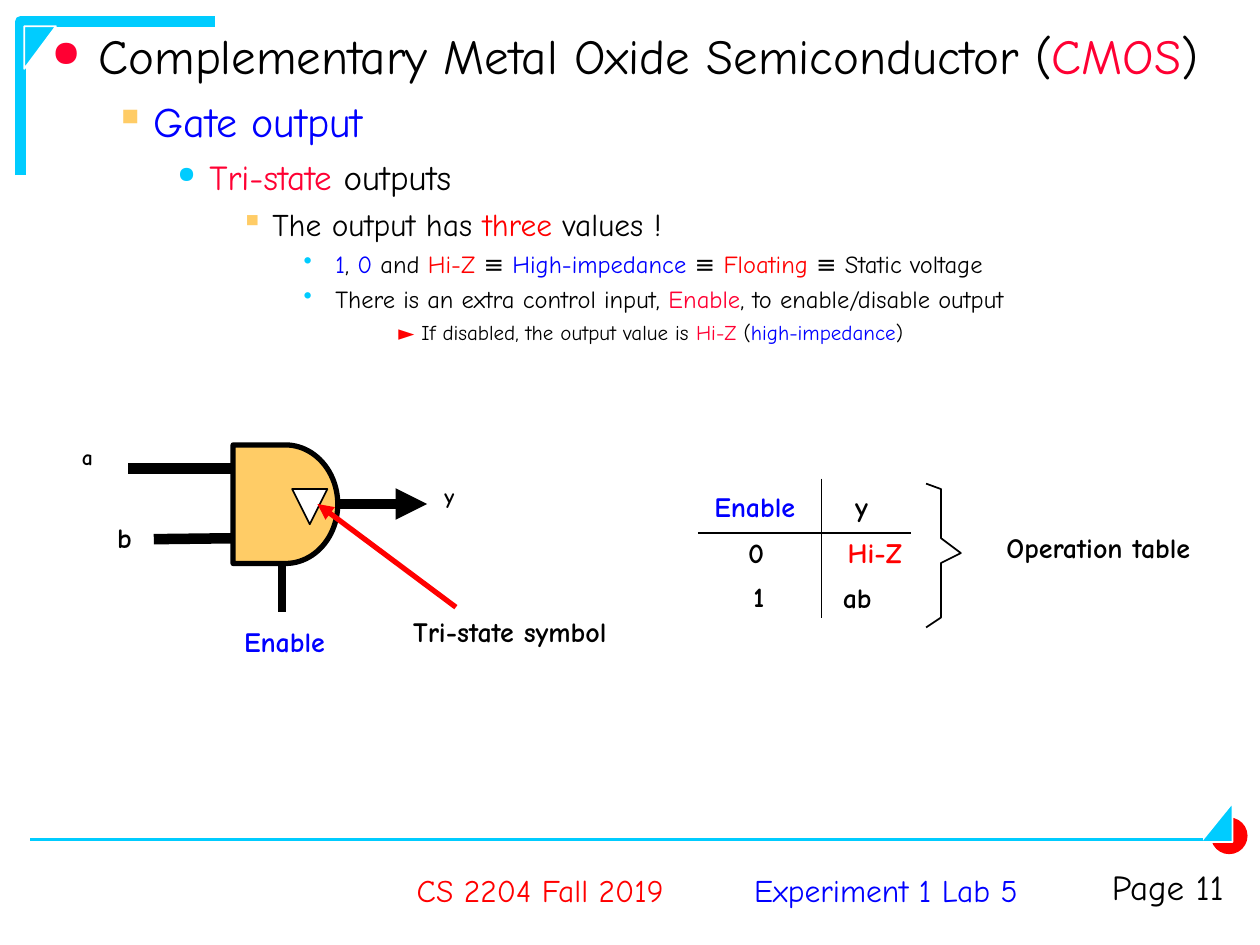
from dataclasses import dataclass

from lxml import etree
from pptx import Presentation
from pptx.dml.color import RGBColor
from pptx.enum.shapes import MSO_CONNECTOR, MSO_SHAPE
from pptx.enum.text import MSO_ANCHOR, PP_ALIGN
from pptx.oxml.ns import qn
from pptx.util import Cm, Pt

STRAIGHT = MSO_CONNECTOR.STRAIGHT
RIGHT_TRIANGLE = MSO_SHAPE.RIGHT_TRIANGLE
TRIANGLE = MSO_SHAPE.ISOSCELES_TRIANGLE
OVAL = MSO_SHAPE.OVAL
AND_GATE = MSO_SHAPE.FLOWCHART_DELAY
LEFT, CENTER, RIGHT = PP_ALIGN.LEFT, PP_ALIGN.CENTER, PP_ALIGN.RIGHT
TOP, MIDDLE = MSO_ANCHOR.TOP, MSO_ANCHOR.MIDDLE

FONT = "Comic Neue"
BLACK, WHITE, BLUE, RED = "000000", "FFFFFF", "0000FF", "FF0000"
CRIMSON, CYAN, AMBER = "FF0033", "00CCFF", "FFCC66"


@dataclass
class Label:
    text: str
    left: float
    top: float
    width: float
    height: float = 0.94
    size: float = 16
    color: str = BLACK
    bold: bool = True
    wrap: bool = False
    align: PP_ALIGN = LEFT
    anchor: MSO_ANCHOR = TOP
    spacing: float = 1.0


@dataclass
class Line:
    start: tuple[float, float]
    end: tuple[float, float]
    width: float
    color: str = BLACK
    arrow: bool = False


@dataclass
class Level:
    margin: float
    hanging: float
    size: float
    before: float
    bullet: str = ""
    bullet_color: str = BLACK
    bullet_percent: int = 100
    spacing: float = 1.0
    tabs: tuple[float, ...] = ()


TITLE = Level(0.95, 0.95, 28, 0, "●", CRIMSON, 75, spacing=0.9)
TOPIC = Level(2.06, 0.79, 24, 6, "▪", AMBER)
SUBTOPIC = Level(3.18, 0.64, 20, 5, "●", CYAN, 65)
POINT = Level(4.45, 0.64, 18, 4.5, "▪", AMBER)
DETAIL = Level(5.72, 0.64, 14, 3.5, "•", CYAN)
REMARK = Level(5.72, 0.64, 12, 3, tabs=(0, 7.62, 10.16))

OUTLINE = [
    (TITLE, [("Complementary Metal Oxide Semiconductor (", BLACK),
             ("CMOS", CRIMSON), (")", BLACK)]),
    (TOPIC, [("Gate output", BLUE)]),
    (SUBTOPIC, [("Tri-state", CRIMSON), (" outputs", BLACK)]),
    (POINT, [("The output has ", BLACK), ("three", RED), (" values !", BLACK)]),
    (DETAIL, [("1", BLUE), (", ", BLACK), ("0 ", BLUE), ("and", BLACK),
              (" Hi-Z ", RED), ("≡ ", BLACK), ("High-impedance", BLUE),
              (" ≡ ", BLACK), ("Floating ", RED), ("≡ Static voltage", BLACK)]),
    (DETAIL, [("There is an extra control input, ", BLACK), ("Enable", CRIMSON),
              (", to enable/disable output", BLACK)]),
    (REMARK, [("\t\t", BLACK), ("► ", RED),
              ("If disabled, the output value is ", BLACK), ("Hi-Z ", CRIMSON),
              ("(", BLACK), ("high-impedance", BLUE), (")", BLACK)]),
]

FOOTER = [
    Label("Experiment 1 Lab 5", 14.61, 17.12, 6.5, 1.63, 18, BLUE, False,
          align=CENTER, anchor=MIDDLE),
    Label("CS 2204 Fall 2019", 7.59, 17.12, 6.6, 1.63, 18, RED, False,
          align=CENTER, anchor=MIDDLE),
    Label("Page 11", 21.21, 17.32, 3.71, 1.42, 20, BLACK, False, True, RIGHT),
]

OPERATION_LABELS = [
    Label("Enable", 14.15, 9.75, 2.13, color=BLUE),
    Label("y", 16.99, 9.75, 0.76),
    Label("0", 14.83, 10.67, 0.81),
    Label("Hi-Z", 16.84, 10.67, 1.6, color=RED),
    Label("1", 14.94, 11.56, 0.71),
    Label("ab", 16.74, 11.58, 1.09),
    Label("Operation table", 20.04, 10.57, 4.24),
]
OPERATION_RULES = [
    Line((14.07, 10.74), (18.36, 10.74), 1),
    Line((16.56, 9.65), (16.56, 12.45), 1),
]
BRACE = [(18.67, 9.75), (18.97, 9.86), (18.97, 10.85), (19.37, 11.15),
         (18.97, 11.35), (18.97, 12.45), (18.67, 12.65)]

GATE_LABELS = [
    Label("Tri-state symbol", 8.08, 12.27, 4.42),
    Label("a", 1.4, 8.97, 1.02, 0.64, 12.4, wrap=True, spacing=0.7),
    Label("b", 2.11, 10.49, 1.27, 0.84, wrap=True, spacing=0.8),
    Label("y", 8.71, 9.75, 1.02, 0.64, 12.4, wrap=True, spacing=0.7),
    Label("Enable", 4.67, 12.47, 2.13, color=BLUE),
]
GATE_WIRES = [
    Line((3.1, 10.87), (4.7, 10.85), 6),
    Line((2.59, 9.45), (4.7, 9.45), 6),
    Line((6.81, 10.16), (8.61, 10.16), 6, arrow=True),
    Line((5.69, 11.35), (5.69, 12.34), 4.5),
]
SYMBOL_POINTER = Line((9.19, 12.24), (6.4, 10.16), 3, RED, True)


def rgb(color: str) -> RGBColor:
    return RGBColor.from_string(color)


def set_line(line, color: str, width: float) -> None:
    line.color.rgb = rgb(color)
    line.width = Pt(width)


def draw_shape(shapes, kind, box, fill, line=None, width=1.0, rotation=0, flips=()):
    shape = shapes.add_shape(kind, *map(Cm, box))
    shape.shadow.inherit = False
    shape.fill.solid()
    shape.fill.fore_color.rgb = rgb(fill)
    if line:
        set_line(shape.line, line, width)
    else:
        shape.line.fill.background()
    shape.rotation = rotation
    for flip in flips:
        shape._element.spPr.xfrm.set(flip, "1")


def draw_outline(shapes, points, color: str, width: float) -> None:
    corners = [(Cm(x), Cm(y)) for x, y in points]
    builder = shapes.build_freeform(*corners[0])
    builder.add_line_segments(corners[1:], close=False)
    outline = builder.convert_to_shape()
    outline.shadow.inherit = False
    outline.fill.background()
    set_line(outline.line, color, width)


def draw_line(shapes, line: Line) -> None:
    connector = shapes.add_connector(STRAIGHT, *map(Cm, line.start + line.end))
    set_line(connector.line, line.color, line.width)
    if line.arrow:
        etree.SubElement(connector.line._get_or_add_ln(), qn("a:tailEnd"), type="triangle")
    etree.SubElement(connector._element.spPr, qn("a:effectLst"))


def draw_label(shapes, label: Label) -> None:
    box = shapes.add_textbox(Cm(label.left), Cm(label.top), Cm(label.width), Cm(label.height))
    frame = box.text_frame
    frame.word_wrap = label.wrap
    frame.vertical_anchor = label.anchor
    paragraph = frame.paragraphs[0]
    paragraph.text = label.text
    paragraph.alignment = label.align
    paragraph.line_spacing = label.spacing
    font = paragraph.font
    font.name, font.size, font.bold = FONT, Pt(label.size), label.bold
    font.color.rgb = rgb(label.color)


def format_level(paragraph, level: Level) -> None:
    paragraph.line_spacing = level.spacing
    paragraph.space_before = Pt(level.before)
    properties = paragraph._p.get_or_add_pPr()
    properties.set("marL", str(Cm(level.margin)))
    properties.set("indent", str(-Cm(level.hanging)))
    if level.bullet:
        bullet_color = etree.SubElement(properties, qn("a:buClr"))
        etree.SubElement(bullet_color, qn("a:srgbClr"), val=level.bullet_color)
        etree.SubElement(properties, qn("a:buSzPct"), val=str(level.bullet_percent * 1000))
        etree.SubElement(properties, qn("a:buChar"), char=level.bullet)
    if level.tabs:
        tab_list = etree.SubElement(properties, qn("a:tabLst"))
        for stop in level.tabs:
            etree.SubElement(tab_list, qn("a:tab"), pos=str(Cm(stop)), algn="l")
    paragraph.font.name, paragraph.font.size = FONT, Pt(level.size)


def draw_body(shapes) -> None:
    frame = shapes.add_textbox(Cm(0.53), Cm(0.53), Cm(24.33), Cm(16.41)).text_frame
    frame.word_wrap = True
    frame.margin_left = frame.margin_right = Cm(0.51)
    for index, (level, pieces) in enumerate(OUTLINE):
        paragraph = frame.add_paragraph() if index else frame.paragraphs[0]
        format_level(paragraph, level)
        for text, color in pieces:
            run = paragraph.add_run()
            run.text = text
            run.font.color.rgb = rgb(color)


def main() -> None:
    deck = Presentation()
    deck.slide_width, deck.slide_height = Cm(25.4), Cm(19.05)
    shapes = deck.slides.add_slide(deck.slide_layouts[6]).shapes

    # Corner decorations and footer rule
    draw_outline(shapes, [(0.41, 3.53), (0.41, 0.43), (4.34, 0.43)], CYAN, 6)
    draw_shape(shapes, RIGHT_TRIANGLE, (0.38, 0.64, 0.86, 0.64), CYAN, WHITE,
               rotation=270, flips=("flipH", "flipV"))
    draw_shape(shapes, OVAL, (24.41, 16.48, 0.74, 0.74), RED)
    draw_shape(shapes, RIGHT_TRIANGLE, (24.13, 16.26, 0.79, 0.64), CYAN, WHITE, rotation=270)
    draw_outline(shapes, [(24.84, 16.41), (24.84, 16.97), (24.46, 16.97)], WHITE, 0.75)
    draw_line(shapes, Line((0.61, 16.92), (24.26, 16.92), 1.5, CYAN))

    draw_body(shapes)

    # Operation table with its brace
    for rule in OPERATION_RULES:
        draw_line(shapes, rule)
    draw_outline(shapes, BRACE, BLACK, 1)

    # Tri-state gate
    draw_shape(shapes, AND_GATE, (4.7, 8.97, 2.11, 2.39), AMBER, BLACK, 3)
    for wire in GATE_WIRES:
        draw_line(shapes, wire)
    draw_shape(shapes, TRIANGLE, (5.89, 9.86, 0.71, 0.71), WHITE, BLACK, flips=("flipV",))
    draw_line(shapes, SYMBOL_POINTER)

    for label in FOOTER + OPERATION_LABELS + GATE_LABELS:
        draw_label(shapes, label)

    deck.save("out.pptx")


if __name__ == "__main__":
    main()
